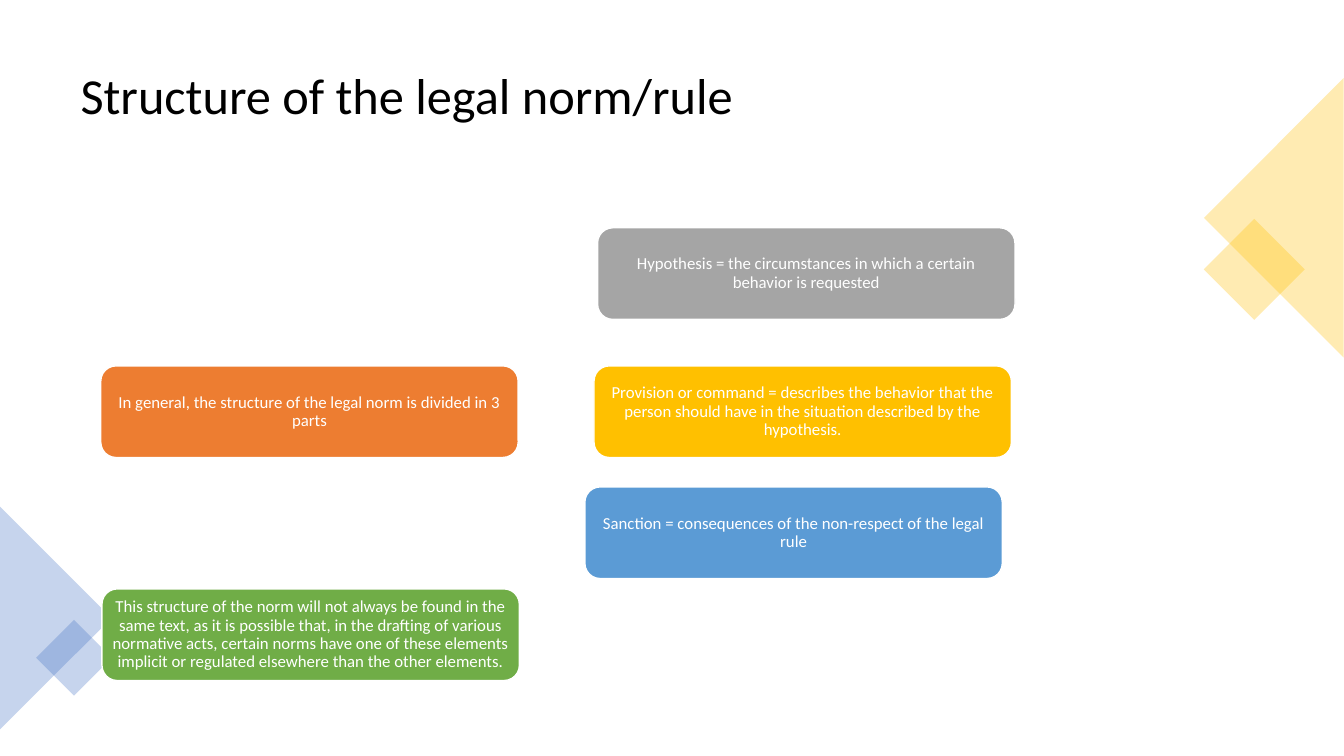
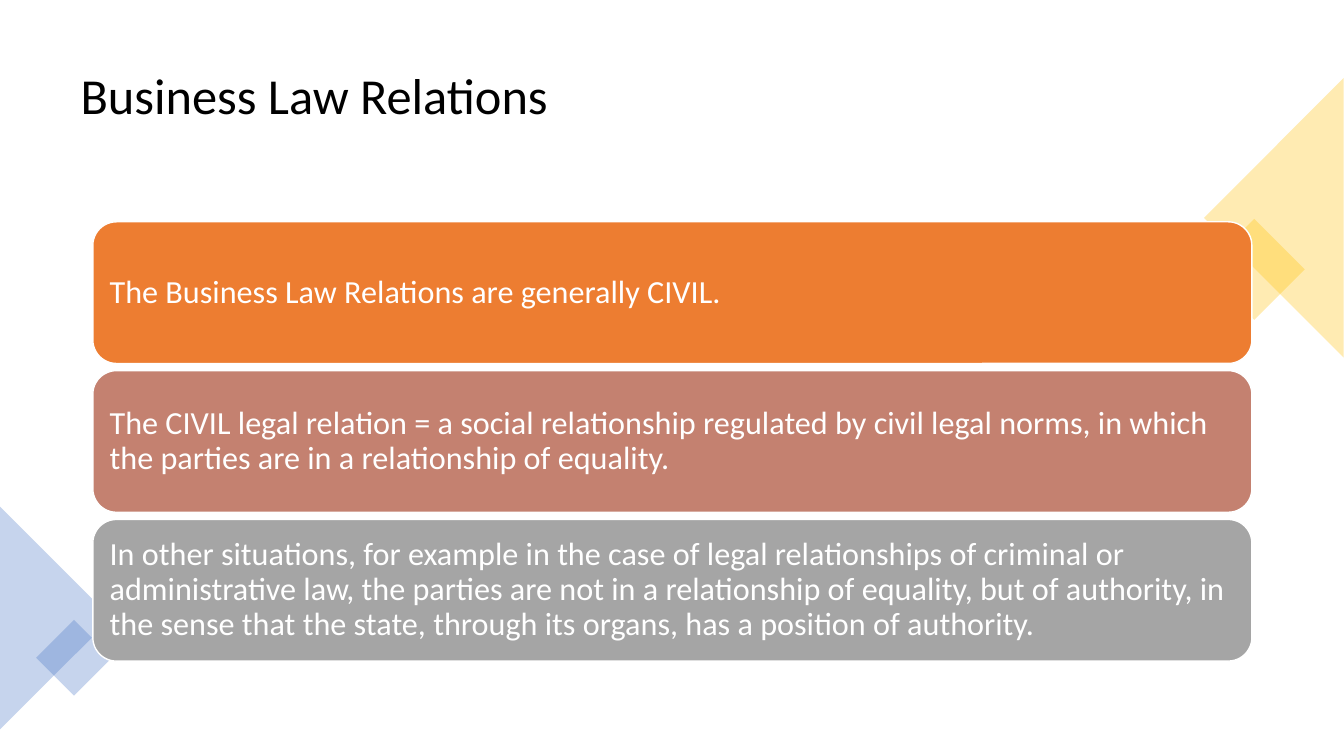
from dataclasses import dataclass

from lxml import etree
from pptx import Presentation
from pptx.dml.color import RGBColor
from pptx.enum.shapes import MSO_SHAPE
from pptx.enum.text import MSO_ANCHOR, PP_ALIGN
from pptx.oxml.ns import qn
from pptx.util import Cm, Pt

RECTANGLE = MSO_SHAPE.RECTANGLE
TRIANGLE = MSO_SHAPE.ISOSCELES_TRIANGLE
ROUNDED = MSO_SHAPE.ROUNDED_RECTANGLE
MIDDLE = MSO_ANCHOR.MIDDLE
LEFT, CENTER = PP_ALIGN.LEFT, PP_ALIGN.CENTER
BLANK_LAYOUT = 6


@dataclass(frozen=True)
class Theme:
    font: str = "Calibri"
    black: str = "000000"
    white: str = "FFFFFF"
    orange: str = "ED7D31"
    gray: str = "A5A5A5"
    gold: str = "FFC000"
    sky: str = "5B9BD5"
    green: str = "70AD47"
    rose: str = "C48170"
    blue: str = "4472C4"
    title_size: int = 36
    panel_size: int = 23
    card_size: int = 12
    line_spacing: float = 0.9
    outline: float = 1
    corner_opacity: int = 30


THEME = Theme()


@dataclass(frozen=True)
class Box:
    """Position and size in centimetres."""
    left: float
    top: float
    width: float
    height: float

    def lengths(self) -> tuple:
        return Cm(self.left), Cm(self.top), Cm(self.width), Cm(self.height)


@dataclass(frozen=True)
class Ornament:
    kind: int
    box: Box
    rotation: int
    color: str


@dataclass(frozen=True)
class Block:
    text: str
    color: str
    left: float
    top: float


@dataclass(frozen=True)
class BlockStyle:
    width: float
    height: float
    size: int
    align: int
    inset_x: float
    inset_y: float


TITLE_BOX = Box(1.78, 0.89, 30.3, 3.15)
ORNAMENTS = (
    Ornament(RECTANGLE, Box(30.71, 5.89, 1.8, 1.8), 45, THEME.gold),
    Ornament(TRIANGLE, Box(28.58, 3.73, 7.04, 3.52), 270, THEME.gold),
    Ornament(TRIANGLE, Box(-1.4, 14.17, 5.61, 2.81), 90, THEME.blue),
    Ornament(RECTANGLE, Box(1.19, 15.9, 1.35, 1.35), 45, THEME.blue),
)

CARD = BlockStyle(10.52, 2.31, THEME.card_size, CENTER, 0.13, 0.08)
PANEL = BlockStyle(29.21, 3.57, THEME.panel_size, LEFT, 0.25, 0.25)
MIDDLE_ROW = 9.22
PANEL_LEFT, PANEL_TOP, PANEL_PITCH = 2.34, 5.59, 3.75

NORM_CARDS = (
    Block("In general, the structure of the legal norm is divided in 3 parts",
          THEME.orange, 2.54, MIDDLE_ROW),
    Block("Hypothesis = the circumstances in which a certain behavior is requested",
          THEME.gray, 15.06, 5.74),
    Block("Provision or command = describes the behavior that the person should "
          "have in the situation described by the hypothesis.",
          THEME.gold, 14.97, MIDDLE_ROW),
    Block("Sanction = consequences of the non-respect of the legal rule",
          THEME.sky, 14.74, 12.27),
    Block("This structure of the norm will not always be found in the same text, "
          "as it is possible that, in the drafting of various normative acts, "
          "certain norms have one of these elements implicit or regulated "
          "elsewhere than the other elements.",
          THEME.green, 2.57, 14.84),
)
RELATION_TEXTS = (
    ("The Business Law Relations are generally CIVIL.", THEME.orange),
    ("The CIVIL legal relation = a social relationship regulated by civil legal "
     "norms, in which the parties are in a relationship of equality.", THEME.rose),
    ("In other situations, for example in the case of legal relationships of "
     "criminal or administrative law, the parties are not in a relationship of "
     "equality, but of authority, in the sense that the state, through its "
     "organs, has a position of authority.", THEME.gray),
)
RELATION_PANELS = tuple(
    Block(text, color, PANEL_LEFT, PANEL_TOP + row * PANEL_PITCH)
    for row, (text, color) in enumerate(RELATION_TEXTS)
)


def write_text(shape, text: str, *, size: int, color: str, align: int = LEFT,
               inset_x: float = 0.25, inset_y: float = 0.13) -> None:
    frame = shape.text_frame
    frame.word_wrap = True
    frame.vertical_anchor = MIDDLE
    frame.margin_left = frame.margin_right = Cm(inset_x)
    frame.margin_top = frame.margin_bottom = Cm(inset_y)
    paragraph = frame.paragraphs[0]
    paragraph.alignment = align
    paragraph.line_spacing = THEME.line_spacing
    run = paragraph.add_run()
    run.text = text
    run.font.name = THEME.font
    run.font.size = Pt(size)
    run.font.color.rgb = RGBColor.from_string(color)


def add_filled_shape(slide, kind: int, box: Box, color: str):
    shape = slide.shapes.add_shape(kind, *box.lengths())
    shape.shadow.inherit = False
    shape.fill.solid()
    shape.fill.fore_color.rgb = RGBColor.from_string(color)
    return shape


def add_ornament(slide, ornament: Ornament) -> None:
    shape = add_filled_shape(slide, ornament.kind, ornament.box, ornament.color)
    shape.rotation = ornament.rotation
    shape.line.fill.background()
    color = shape.fill._xPr.find(qn("a:solidFill")).find(qn("a:srgbClr"))
    etree.SubElement(color, qn("a:alpha"), val=str(THEME.corner_opacity * 1000))


def add_block(slide, block: Block, style: BlockStyle) -> None:
    box = Box(block.left, block.top, style.width, style.height)
    shape = add_filled_shape(slide, ROUNDED, box, block.color)
    shape.line.color.rgb = RGBColor.from_string(THEME.white)
    shape.line.width = Pt(THEME.outline)
    write_text(shape, block.text, size=style.size, color=THEME.white,
               align=style.align, inset_x=style.inset_x, inset_y=style.inset_y)


def add_block_slide(presentation, title: str, blocks: tuple[Block, ...],
                    style: BlockStyle) -> None:
    slide = presentation.slides.add_slide(presentation.slide_layouts[BLANK_LAYOUT])
    title_box = slide.shapes.add_textbox(*TITLE_BOX.lengths())
    write_text(title_box, title, size=THEME.title_size, color=THEME.black)
    for ornament in ORNAMENTS:
        add_ornament(slide, ornament)
    for block in blocks:
        add_block(slide, block, style)


def main() -> None:
    presentation = Presentation()
    presentation.slide_width = Cm(33.87)
    presentation.slide_height = Cm(19.05)
    add_block_slide(presentation, "Structure of the legal norm/rule", NORM_CARDS, CARD)
    add_block_slide(presentation, "Business Law Relations", RELATION_PANELS, PANEL)
    presentation.save("out.pptx")


if __name__ == "__main__":
    main()
